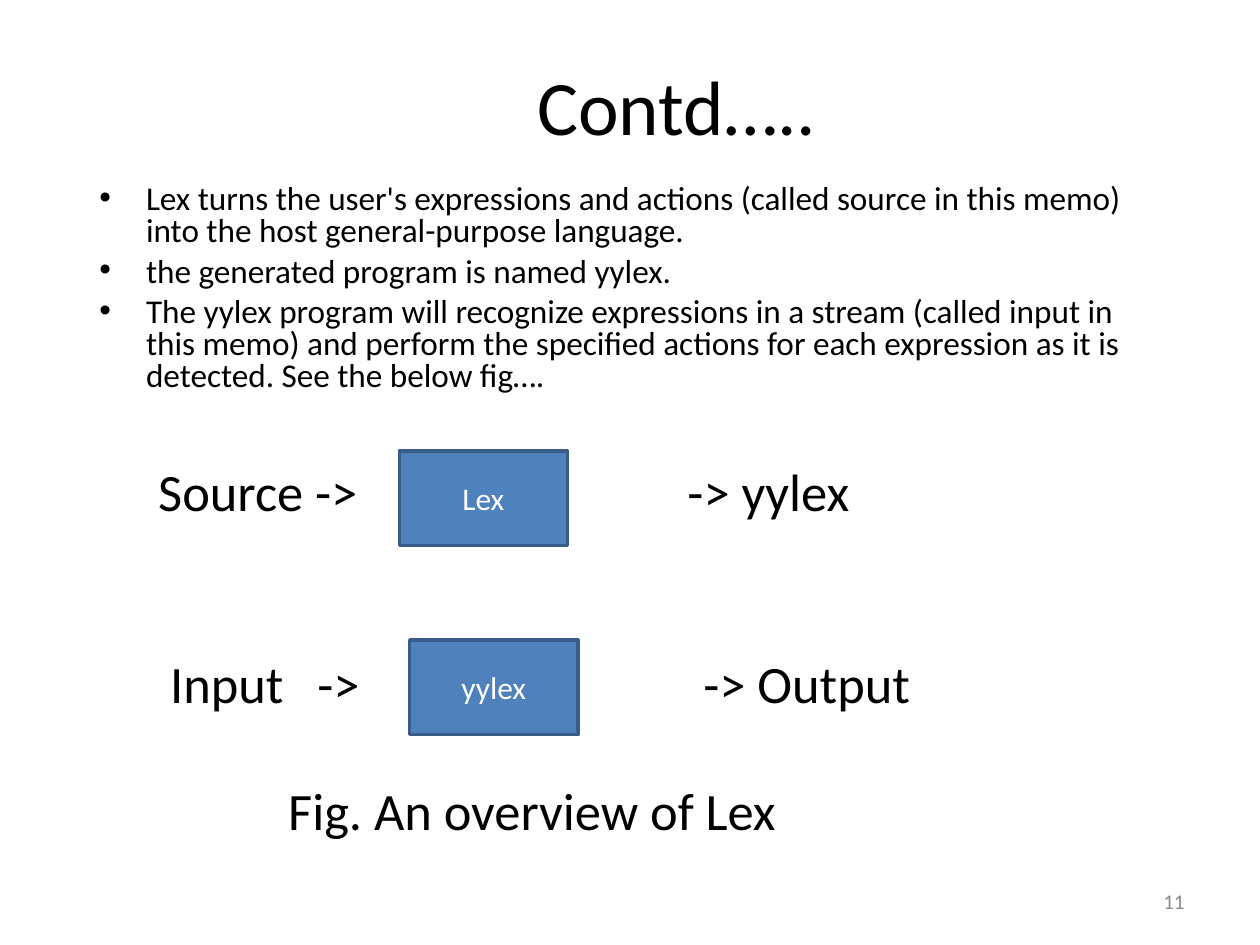
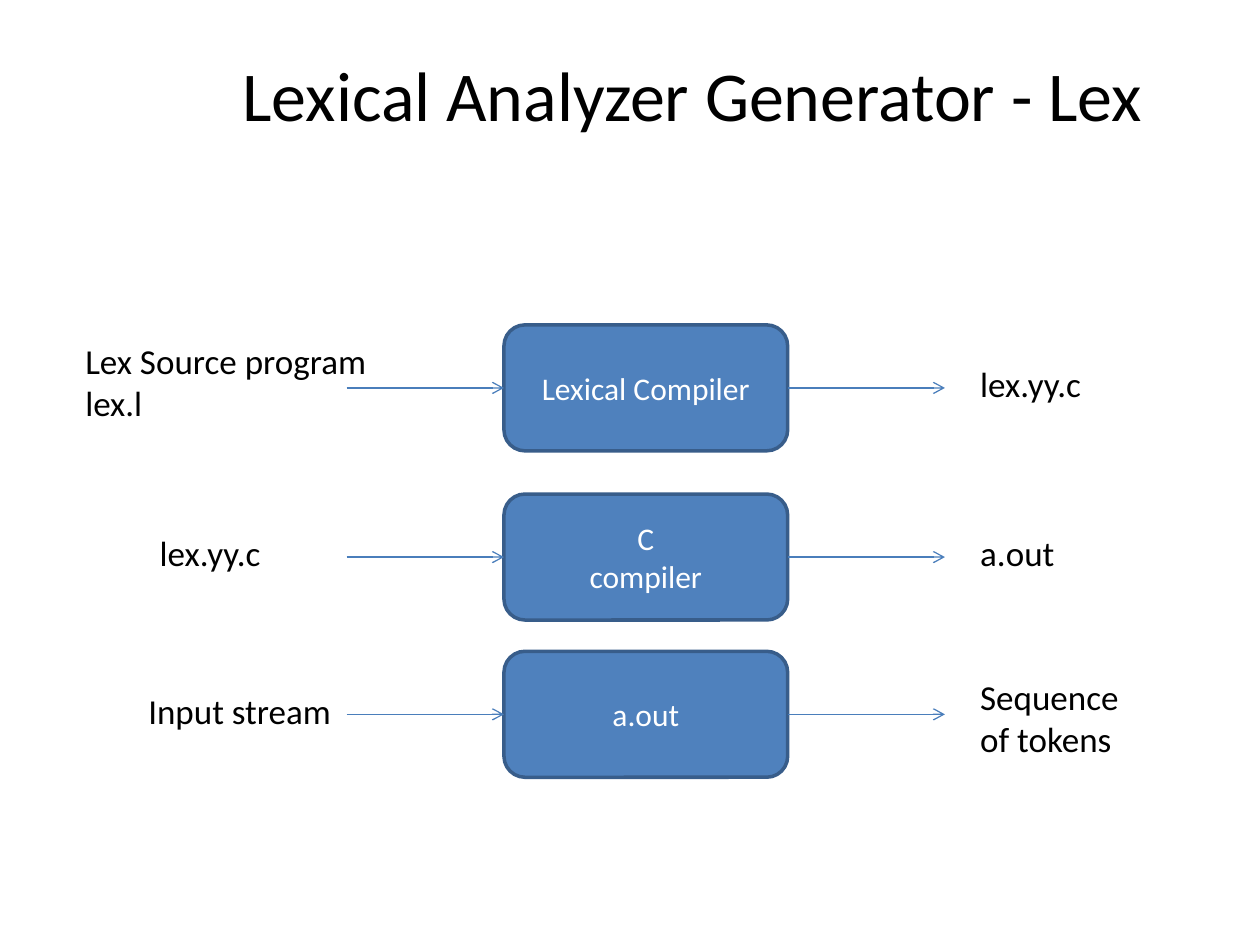
from dataclasses import dataclass

from lxml import etree
from pptx import Presentation
from pptx.dml.color import RGBColor
from pptx.enum.shapes import MSO_CONNECTOR, MSO_SHAPE
from pptx.enum.text import MSO_ANCHOR, MSO_AUTO_SIZE, PP_ALIGN
from pptx.oxml.ns import qn
from pptx.util import Cm, Pt

LEFT, CENTER, RIGHT = PP_ALIGN.LEFT, PP_ALIGN.CENTER, PP_ALIGN.RIGHT
TOP, MIDDLE = MSO_ANCHOR.TOP, MSO_ANCHOR.MIDDLE
RECT, ROUND = MSO_SHAPE.RECTANGLE, MSO_SHAPE.ROUNDED_RECTANGLE
STRAIGHT, NO_FIT = MSO_CONNECTOR.STRAIGHT, MSO_AUTO_SIZE.NONE


@dataclass
class Theme:
    """Colours, font and type sizes of the deck."""
    font: str = "Calibri"
    ink: str = "000000"
    light: str = "FFFFFF"
    grey: str = "898989"
    fill: str = "4F81BD"
    edge: str = "385D8A"
    arrow: str = "4A7EBB"
    title: int = 44
    long_title: int = 40
    figure: int = 30
    label: int = 20
    bullet: int = 19
    box: int = 18
    number: int = 12


theme = Theme()


def write(shape, lines, size, color=theme.ink, align=LEFT, anchor=TOP,
          leading=None, before=0):
    """Fill a shape with one formatted paragraph per line."""
    frame = shape.text_frame
    frame.word_wrap = True
    frame.auto_size = NO_FIT
    frame.vertical_anchor = anchor
    frame.text = "\n".join(lines)
    for para in frame.paragraphs:
        para.alignment = align
        para.line_spacing = leading
        para.space_before = Pt(before)
        for run in para.runs:
            run.font.name = theme.font
            run.font.size = Pt(size)
            run.font.color.rgb = RGBColor.from_string(color)
    return frame


def block(slide, kind, lines, left, top, width, height):
    """Draw a blue box with centred white text."""
    shape = slide.shapes.add_shape(kind, Cm(left), Cm(top), Cm(width), Cm(height))
    shape.shadow.inherit = False
    shape.fill.solid()
    shape.fill.fore_color.rgb = RGBColor.from_string(theme.fill)
    shape.line.color.rgb = RGBColor.from_string(theme.edge)
    shape.line.width = Pt(2)
    write(shape, lines, theme.box, theme.light, CENTER, MIDDLE)


deck = Presentation()
deck.slide_width, deck.slide_height = Cm(25.4), Cm(19.05)

# Both slides: layout, title, title place and size
heads = [
    (1, "Contd…..", (3.61, 0.84, 20.07, 2.54), theme.title),
    (5, "Lexical Analyzer Generator - Lex", (4.24, 1.02, 19.43, 1.73), theme.long_title),
]
for layout, text, place, size in heads:
    slide = deck.slides.add_slide(deck.slide_layouts[layout])
    title = slide.shapes.title
    title.left, title.top, title.width, title.height = map(Cm, place)
    write(title, [text], size, align=CENTER, anchor=MIDDLE)
intro, flow = deck.slides

# Slide 1: bullets
bullets = [
    "Lex turns the user's expressions and actions (called source in this memo) "
    "into the host general-purpose language.",
    "the generated program is named yylex.",
    "The yylex program will recognize expressions in a stream (called input in "
    "this memo) and perform the specified actions for each expression as it is "
    "detected. See the below fig….",
]
body = intro.placeholders[1]
body.left, body.top, body.width, body.height = map(Cm, (1.75, 3.61, 21.92, 4.8))
frame = write(body, bullets, theme.bullet, leading=0.8, before=4.8)
for para in frame.paragraphs:
    props = para._p.get_or_add_pPr()
    props.set("marL", str(Cm(0.94)))
    props.set("indent", str(Cm(-0.94)))

# Slide 1: figure text on three lines; each part is (text, left, width)
figure = [
    (9.13, [("Source ->", 2.94, 4.8), ("-> yylex", 13.61, 4.2)]),
    (13, [("Input", 3.18, 2.95), ("->", 6.15, 1.6), ("-> Output", 13.93, 5)]),
    (15.56, [("Fig. An overview of Lex", 5.56, 11)]),
]
for top, parts in figure:
    for text, left, width in parts:
        part = intro.shapes.add_textbox(Cm(left), Cm(top), Cm(width), Cm(1.55))
        write(part, [text], theme.figure)

number = intro.shapes.add_textbox(Cm(18.21), Cm(17.65), Cm(5.92), Cm(1.02))
write(number, ["11"], theme.number, theme.grey, RIGHT, MIDDLE)
for name, left, top in [("Lex", 8.05, 9.09), ("yylex", 8.26, 12.9)]:
    block(intro, RECT, [name], left, top, 3.39, 1.91)

# Slide 2: one row per step; labels are (lines, left, top, width, height)
out_left, out_wide = 19.51, 3.56
steps = [
    (6.55, ["Lexical Compiler"],
     (["Lex Source program", "lex.l"], 1.47, 6.71, 6.3, 1.96),
     (["lex.yy.c"], out_left, 7.19, out_wide, 1.12)),
    (9.96, ["C", "compiler"],
     (["lex.yy.c"], 2.97, 10.59, 4.39, 1.12),
     (["a.out"], out_left, 10.59, out_wide, 1.12)),
    (13.13, ["a.out"],
     (["Input stream"], 2.74, 13.77, 4.39, 1.12),
     (["Sequence of tokens"], out_left, 13.49, out_wide, 1.96)),
]
box_left, box_wide, box_high, reach = 10.16, 5.72, 2.54, 3.17
for top, name, *labels in steps:
    block(flow, ROUND, name, box_left, top, box_wide, box_high)
    mid = Cm(top + box_high / 2)
    for start in (box_left - reach, box_left + box_wide):
        arrow = flow.shapes.add_connector(STRAIGHT, Cm(start), mid, Cm(start + reach), mid)
        arrow.line.color.rgb = RGBColor.from_string(theme.arrow)
        arrow.line.width = Pt(0.75)
        etree.SubElement(arrow.line._get_or_add_ln(), qn("a:tailEnd"), type="arrow")
        etree.SubElement(arrow._element.spPr, qn("a:effectLst"))
    for lines, *place in labels:
        write(flow.shapes.add_textbox(*map(Cm, place)), lines, theme.label)

deck.save("out.pptx")
